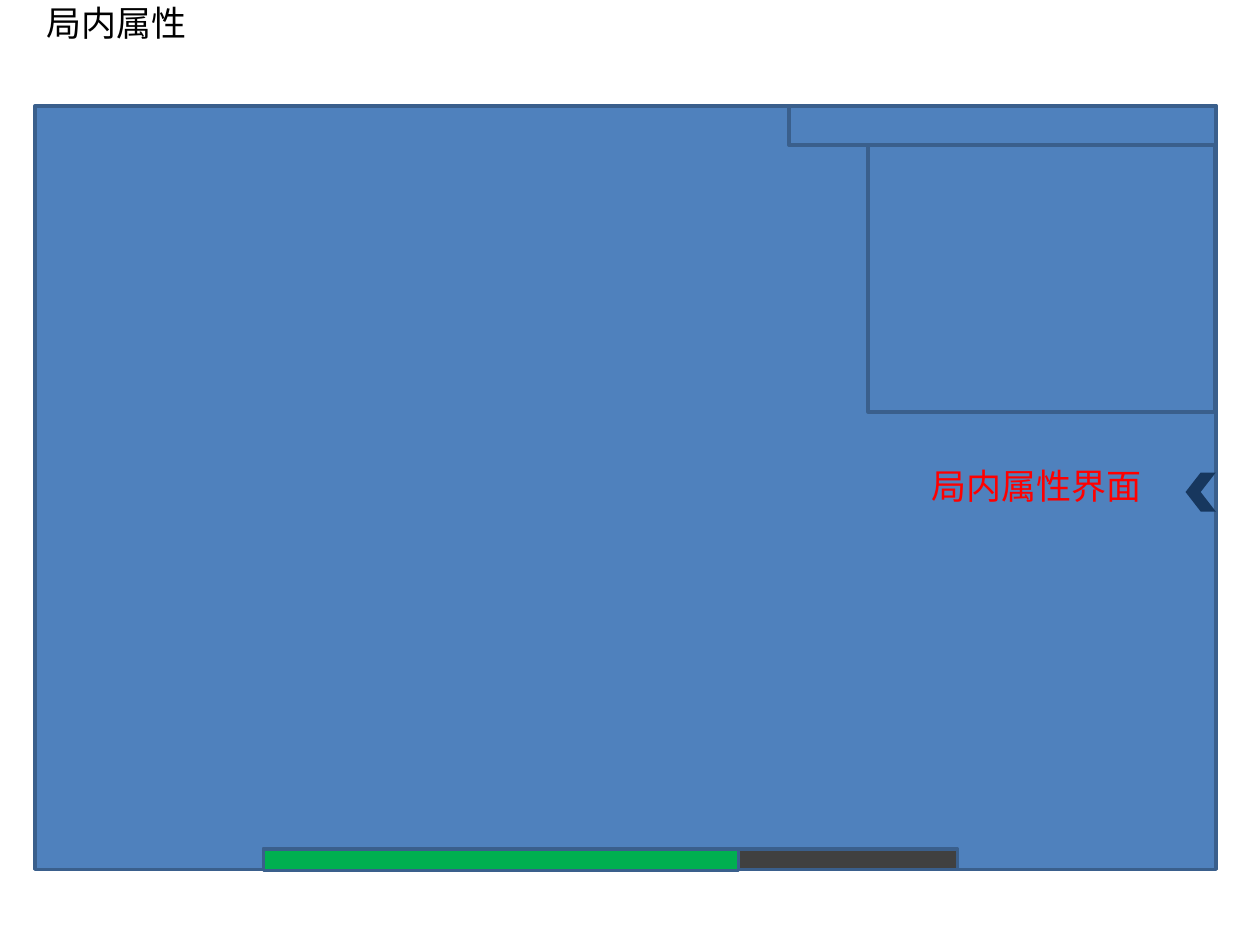
from pptx import Presentation
from pptx.dml.color import RGBColor
from pptx.enum import shapes, text
from pptx.util import Inches, Pt

THEME = {
    "font": "Calibri", "size": 20, "line": 2,
    "ink": "000000", "note": "FF0000", "edge": "3A5F8C",
    "panel": "4F81BD", "arrow": "17375E", "track": "404040", "level": "00B050",
}

TITLE = ("局内属性", (0, 0, 1.85, 0.36), "ink")
LABEL = ("局内属性界面", (7.13, 3.67, 2.2, 0.36), "note")

# Game screen, and the parts that hang on its edges
LEFT, TOP, WIDE, HIGH = SCREEN = (0.28, 0.84, 9.37, 6.06)
RIGHT, BASE = LEFT + WIDE, TOP + HIGH
STRIP = 0.31
BAR_X, BAR_H = 2.09, 0.16

PANELS = [
    (SCREEN, "panel"),
    ((RIGHT - 3.39, TOP, 3.39, STRIP), "panel"),
    ((6.89, TOP + STRIP, 2.75, 2.12), "panel"),
    ((BAR_X, BASE - BAR_H, 5.51, BAR_H), "track"),
    ((BAR_X, BASE - BAR_H, 3.77, BAR_H + 0.01), "level"),
]
ARROW = (RIGHT - 0.24, 3.75, 0.24, STRIP)


def color(name):
    return RGBColor.from_string(THEME[name])


def place(shape, box):
    shape.left, shape.top, shape.width, shape.height = map(Inches, box)


def write(shape, words, tone):
    frame = shape.text_frame
    frame.word_wrap = True
    frame.auto_size = text.MSO_AUTO_SIZE.NONE
    frame.vertical_anchor = text.MSO_ANCHOR.MIDDLE
    para = frame.paragraphs[0]
    para.alignment = text.PP_ALIGN.CENTER
    run = para.add_run()
    run.text = words
    run.font.name = THEME["font"]
    run.font.size = Pt(THEME["size"])
    run.font.color.rgb = color(tone)


def draw(slide, kind, box, fill):
    shape = slide.shapes.add_shape(kind, *map(Inches, box))
    shape.shadow.inherit = False
    shape.fill.solid()
    shape.fill.fore_color.rgb = color(fill)
    return shape


def main():
    deck = Presentation()
    deck.slide_width, deck.slide_height = Inches(10), Inches(7.5)
    slide = deck.slides.add_slide(deck.slide_layouts[5])

    words, box, tone = TITLE
    place(slide.shapes.title, box)
    write(slide.shapes.title, words, tone)

    kinds = shapes.MSO_SHAPE
    for box, fill in PANELS:
        panel = draw(slide, kinds.RECTANGLE, box, fill)
        panel.line.color.rgb = color("edge")
        panel.line.width = Pt(THEME["line"])

    arrow = draw(slide, kinds.CHEVRON, ARROW, "arrow")
    arrow.line.fill.background()
    arrow._element.spPr.xfrm.set("flipH", "1")

    words, box, tone = LABEL
    write(slide.shapes.add_textbox(*map(Inches, box)), words, tone)

    deck.save("out.pptx")


if __name__ == "__main__":
    main()
